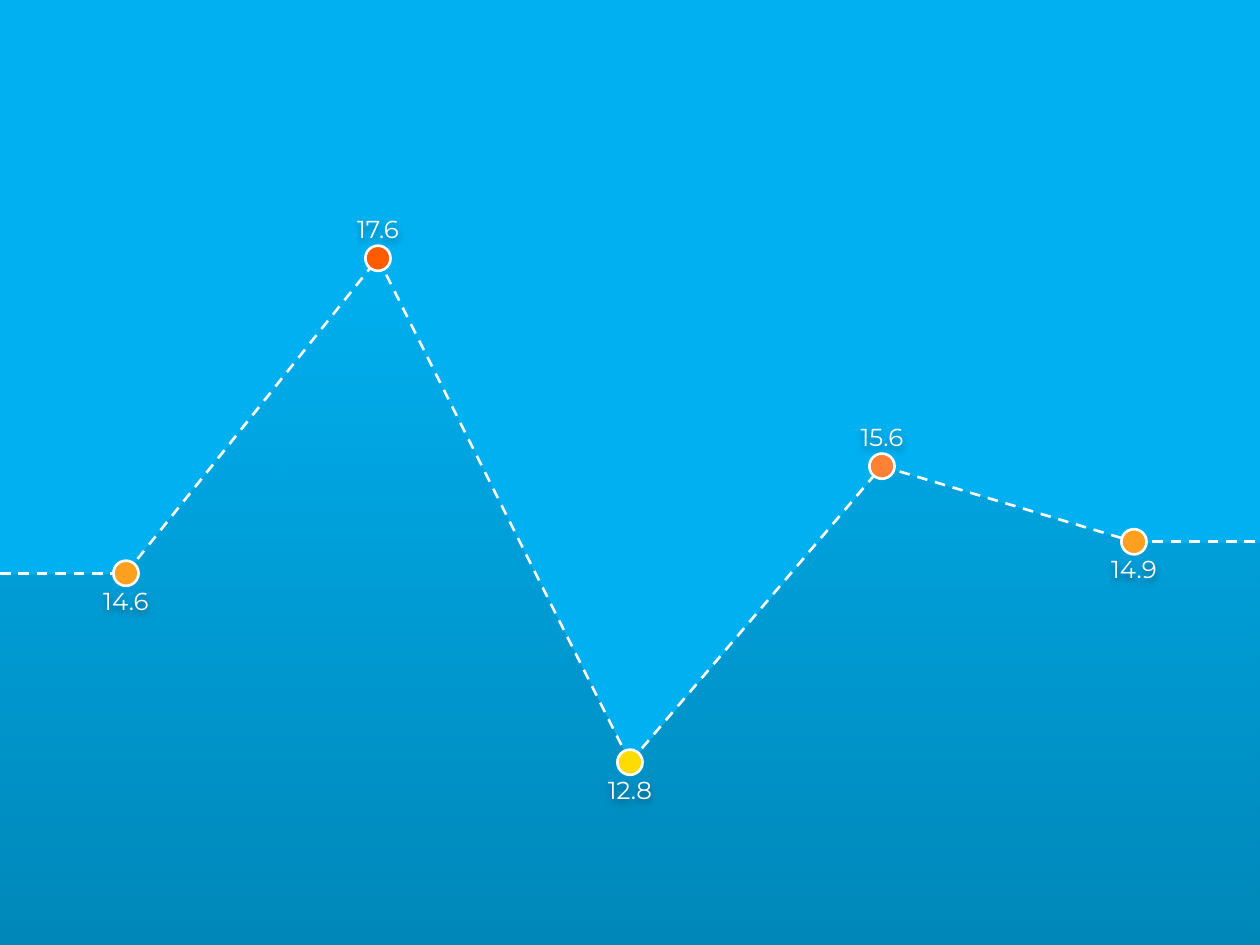
from typing import NamedTuple

from lxml.etree import SubElement
from pptx import Presentation
from pptx.dml.color import RGBColor
from pptx.enum.dml import MSO_LINE
from pptx.enum.shapes import MSO_CONNECTOR, MSO_SHAPE
from pptx.enum.text import MSO_AUTO_SIZE, PP_ALIGN
from pptx.oxml.ns import qn
from pptx.shapes.shapetree import GroupShapes
from pptx.util import Inches, Pt

WHITE = RGBColor(0xFF, 0xFF, 0xFF)
BLACK = RGBColor(0, 0, 0)
SKY = RGBColor(0x00, 0xB0, 0xF0)
AMBER = RGBColor(0xFF, 0xA1, 0x1F)
RED = RGBColor(0xFF, 0x5C, 0x01)
YELLOW = RGBColor(0xFF, 0xDC, 0x01)
ORANGE = RGBColor(0xFF, 0x81, 0x33)

WIDTH, HEIGHT = 10, 7.5
AREA_BOTTOM = 7.9
MARKER_SIZE = 0.2
LABEL_WIDTH, LABEL_HEIGHT = 0.6, 0.34
LINE_WIDTH = Pt(1.5)


class Reading(NamedTuple):
    value: str
    x: float
    y: float
    color: RGBColor
    label_above: bool = False


READINGS = [
    Reading("14.6", 1, 4.55, AMBER),
    Reading("17.6", 3, 2.05, RED, label_above=True),
    Reading("12.8", 5, 6.05, YELLOW),
    Reading("15.6", 7, 3.7, ORANGE, label_above=True),
    Reading("14.9", 9, 4.3, AMBER),
]


def add_soft_shadow(shape) -> None:
    effects = SubElement(shape._element.spPr, qn("a:effectLst"))
    shadow = SubElement(effects, qn("a:outerShdw"), blurRad=str(Pt(4)),
                        dist=str(Pt(2)), dir="5400000")
    color = SubElement(shadow, qn("a:srgbClr"), val=str(BLACK))
    SubElement(color, qn("a:alpha"), val="40000")


def add_area(shapes: GroupShapes, outline: list[tuple[float, float]]) -> None:
    corners = [(WIDTH, AREA_BOTTOM), (0, AREA_BOTTOM)]
    start, *rest = [(Inches(x), Inches(y)) for x, y in outline + corners]
    builder = shapes.build_freeform(*start)
    builder.add_line_segments(rest, close=True)
    area = builder.convert_to_shape()
    area.shadow.inherit = False
    area.line.fill.background()
    area.fill.gradient()
    area.fill.gradient_angle = 270
    # Fade from clear at the top to a quarter black at the bottom
    for stop, position, alpha in zip(area.fill.gradient_stops, (0, 1), (0, 25000)):
        stop.position = position
        stop.color.rgb = BLACK
        SubElement(stop._gs.find(qn("a:srgbClr")), qn("a:alpha"), val=str(alpha))


def add_dashed_line(shapes: GroupShapes, start: tuple[float, float],
                    end: tuple[float, float]) -> None:
    segment = shapes.add_connector(MSO_CONNECTOR.STRAIGHT,
                                   *(Inches(n) for n in (*start, *end)))
    segment.line.color.rgb = WHITE
    segment.line.width = LINE_WIDTH
    segment.line.dash_style = MSO_LINE.DASH
    SubElement(segment._element.spPr, qn("a:effectLst"))


def add_text(shapes: GroupShapes, text: str, *, left: float, top: float,
             width: float, height: float, size: float = 14,
             font: str = "Montserrat", color: RGBColor = WHITE,
             align: PP_ALIGN = PP_ALIGN.CENTER) -> None:
    label = shapes.add_textbox(*(Inches(n) for n in (left, top, width, height)))
    frame = label.text_frame
    frame.word_wrap = True
    frame.auto_size = MSO_AUTO_SIZE.SHAPE_TO_FIT_TEXT
    frame.margin_left = frame.margin_right = 0
    paragraph = frame.paragraphs[0]
    paragraph.alignment = align
    run = paragraph.add_run()
    run.text = text
    run.font.size = Pt(size)
    run.font.name = font
    run.font.color.rgb = color
    add_soft_shadow(label)


def add_marker(shapes: GroupShapes, reading: Reading) -> None:
    marker = shapes.add_shape(
        MSO_SHAPE.OVAL,
        Inches(reading.x - MARKER_SIZE / 2), Inches(reading.y - MARKER_SIZE / 2),
        Inches(MARKER_SIZE), Inches(MARKER_SIZE))
    marker.shadow.inherit = False
    marker.fill.solid()
    marker.fill.fore_color.rgb = reading.color
    marker.line.color.rgb = WHITE
    marker.line.width = LINE_WIDTH


def main() -> None:
    prs = Presentation()
    prs.slide_width, prs.slide_height = Inches(WIDTH), Inches(HEIGHT)
    slide = prs.slides.add_slide(prs.slide_layouts[6])

    # Sky background
    sky = slide.shapes.add_shape(MSO_SHAPE.RECTANGLE, 0, 0,
                                 prs.slide_width, prs.slide_height)
    sky.shadow.inherit = False
    sky.fill.solid()
    sky.fill.fore_color.rgb = SKY
    sky.line.fill.background()

    # Shaded area, dashed curve and value labels
    curve = [(0, READINGS[0].y), *((r.x, r.y) for r in READINGS),
             (WIDTH, READINGS[-1].y)]
    graph = slide.shapes.add_group_shape().shapes
    add_area(graph, curve)
    for start, end in zip(curve, curve[1:]):
        add_dashed_line(graph, start, end)
    for reading in READINGS:
        add_text(graph, reading.value,
                 left=reading.x - LABEL_WIDTH / 2,
                 top=reading.y + (-0.4 if reading.label_above else 0.05),
                 width=LABEL_WIDTH, height=LABEL_HEIGHT)

    # Markers on the readings
    markers = slide.shapes.add_group_shape().shapes
    for reading in READINGS:
        add_marker(markers, reading)

    prs.save("out.pptx")


if __name__ == "__main__":
    main()
